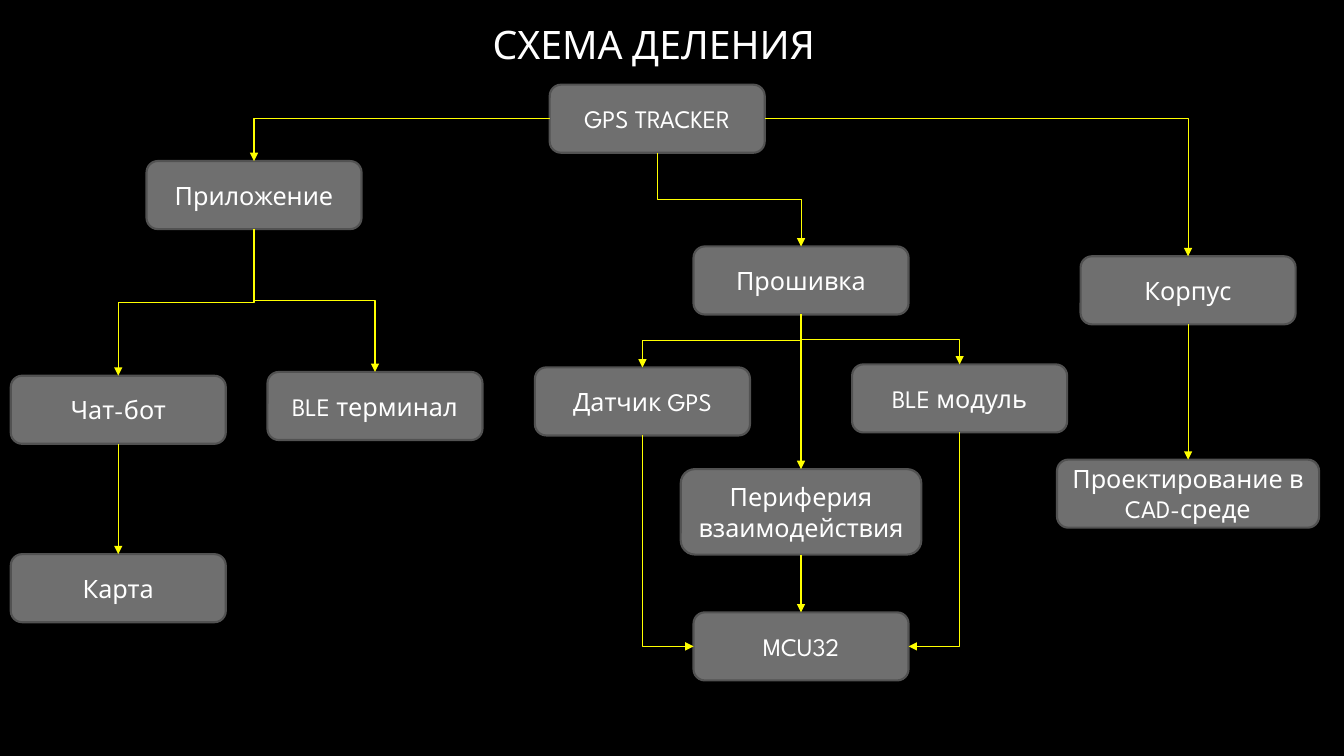
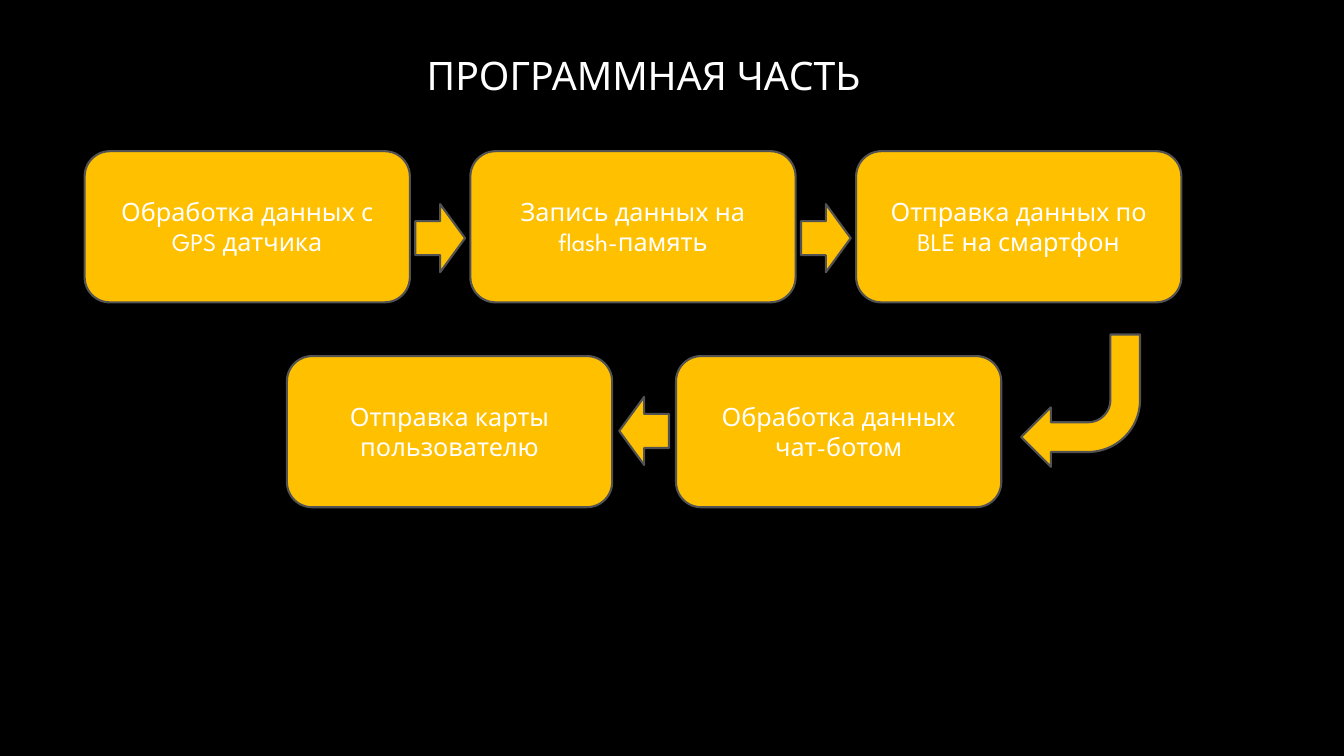
from lxml.etree import SubElement
from pptx import Presentation
from pptx.dml.color import RGBColor
from pptx.enum.shapes import MSO_CONNECTOR, MSO_SHAPE
from pptx.enum.text import MSO_ANCHOR, PP_ALIGN
from pptx.oxml.ns import qn
from pptx.util import Inches, Pt

FONT = "League Spartan"
BLACK, WHITE, SILVER = "000000", "FFFFFF", "A6A6A6"
GREY, OUTLINE, YELLOW, AMBER = "6F6F6F", "525252", "FFFF00", "FFC000"

TITLE_ONLY = 5
TOP, LEFT, BOTTOM, RIGHT = range(4)  # connection sites of a rectangle
NODE = (16, 9)
STEP = (24.2, 20)
ARROW = (3.7, 9)

# name: (text, centre, size), in percent of the slide
NODES = {
    "tracker": ("GPS TRACKER", (48.9, 15.7), NODE),
    "application": ("Приложение", (18.9, 25.8), NODE),
    "firmware": ("Прошивка", (59.6, 37.1), NODE),
    "case": ("Корпус", (88.4, 38.4), NODE),
    "bot": ("Чат-бот", (8.8, 54.2), NODE),
    "terminal": ("BLE терминал", (27.9, 53.7), NODE),
    "sensor": ("Датчик GPS", (47.8, 53.1), NODE),
    "ble": ("BLE модуль", (71.4, 52.7), NODE),
    "peripherals": ("Периферия взаимодействия", (59.6, 67.7), (17.9, 11.3)),
    "map": ("Карта", (8.8, 77.8), NODE),
    "design": ("Проектирование в CAD-среде", (88.4, 65.3), (19.5, 9)),
    "controller": ("MCU32", (59.6, 85.5), NODE),
}
LINKS = [
    ("tracker", LEFT, "application", TOP),
    ("tracker", BOTTOM, "firmware", TOP),
    ("tracker", RIGHT, "case", TOP),
    ("application", BOTTOM, "bot", TOP),
    ("application", BOTTOM, "terminal", TOP),
    ("bot", BOTTOM, "map", TOP),
    ("firmware", BOTTOM, "sensor", TOP),
    ("firmware", BOTTOM, "ble", TOP),
    ("firmware", BOTTOM, "peripherals", TOP),
    ("sensor", BOTTOM, "controller", LEFT),
    ("peripherals", BOTTOM, "controller", TOP),
    ("ble", BOTTOM, "controller", RIGHT),
    ("case", BOTTOM, "design", TOP),
]

# (texts, first centre, distance between centres, row centre, arrow centre)
STEP_ROWS = [
    (["Обработка данных с GPS датчика", "Запись данных на\nflash-память",
      "Отправка данных по BLE на смартфон"], 18.4, 28.7, 30, 31.5),
    (["Обработка данных чат-ботом", "Отправка карты пользователю"],
     62.4, -28.95, 57.1, 57),
]


def color(value):
    return RGBColor.from_string(value)


class Deck:
    """Holds the style and the current slide; lengths are percent of the slide."""

    def __init__(self):
        self.presentation = Presentation()
        self.presentation.slide_width = Inches(13.33)
        self.presentation.slide_height = Inches(7.5)
        background = self.presentation.slide_master.background.fill
        background.solid()
        background.fore_color.rgb = color(BLACK)
        self.slide = None

    def across(self, percent):
        return round(self.presentation.slide_width * percent / 100)

    def down(self, percent):
        return round(self.presentation.slide_height * percent / 100)

    def add_slide(self, text, left, width, height):
        layout = self.presentation.slide_layouts[TITLE_ONLY]
        self.slide = self.presentation.slides.add_slide(layout)
        title = self.slide.shapes.title
        title.left, title.top = self.across(left), 0
        title.width, title.height = self.across(width), self.down(height)
        text_frame = title.text_frame
        text_frame.text = text
        text_frame.vertical_anchor = MSO_ANCHOR.BOTTOM
        paragraph = text_frame.paragraphs[0]
        paragraph.alignment = PP_ALIGN.LEFT
        font = paragraph.runs[0].font
        font.name, font.size = FONT, Pt(28)
        font.fill.gradient()
        font.fill.gradient_angle = 267
        for stop, value in zip(font.fill.gradient_stops, (WHITE, SILVER)):
            stop.color.rgb = color(value)

    def shape(self, kind, center, size, fill, rotation=0):
        (x, y), (width, height) = center, size
        shape = self.slide.shapes.add_shape(
            kind, self.across(x - width / 2), self.down(y - height / 2),
            self.across(width), self.down(height))
        shape.rotation = rotation
        shape.shadow.inherit = False
        shape.fill.solid()
        shape.fill.fore_color.rgb = color(fill)
        shape.line.color.rgb = color(OUTLINE)
        shape.line.width = Pt(1.5)
        return shape

    def box(self, text, center, size, fill):
        shape = self.shape(MSO_SHAPE.ROUNDED_RECTANGLE, center, size, fill)
        text_frame = shape.text_frame
        text_frame.text = text
        text_frame.word_wrap = True
        text_frame.vertical_anchor = MSO_ANCHOR.MIDDLE
        for paragraph in text_frame.paragraphs:
            paragraph.alignment = PP_ALIGN.CENTER
            font = paragraph.runs[0].font
            font.name, font.size = FONT, Pt(18)
            font.color.rgb = color(WHITE)
        return shape

    def link(self, source, source_side, target, target_side):
        """Draw an arrow glued to the given sides of two boxes."""
        connector = self.slide.shapes.add_connector(MSO_CONNECTOR.ELBOW, 0, 0, 0, 0)
        connector.begin_connect(source, source_side)
        connector.end_connect(target, target_side)
        connector.line.color.rgb = color(YELLOW)
        connector.line.width = Pt(0.75)
        properties = connector._element.spPr
        SubElement(connector.line._get_or_add_ln(), qn("a:tailEnd"), type="triangle")
        SubElement(properties, qn("a:effectLst"))

        geometry = properties.find(qn("a:prstGeom"))
        shift = connector.end_x - connector.begin_x
        if abs(shift) < Pt(1):
            geometry.set("prst", "straightConnector1")
            return
        if source_side != BOTTOM or target_side != TOP:
            geometry.set("prst", "bentConnector2")
        if source_side == BOTTOM:
            self.turn(connector, shift > 0)

    def turn(self, connector, to_right):
        """Turn an elbow so that it leaves its start downwards."""
        width, height = connector.width, connector.height
        connector.left += (width - height) // 2
        connector.top += (height - width) // 2
        connector.width, connector.height = height, width
        transform = connector._element.spPr.find(qn("a:xfrm"))
        transform.set("rot", str((270 if to_right else 90) * 60000))
        transform.set("flipH", "1" if to_right else "0")


def build_division_scheme(deck):
    deck.add_slide("СХЕМА ДЕЛЕНИЯ", 35.9, 27.4, 9.6)
    boxes = {name: deck.box(*node, GREY) for name, node in NODES.items()}
    for source, source_side, target, target_side in LINKS:
        deck.link(boxes[source], source_side, boxes[target], target_side)


def build_software_part(deck):
    deck.add_slide("ПРОГРАММНАЯ ЧАСТЬ", 31, 34.8, 13.7)
    for texts, first, pitch, row, arrow_row in STEP_ROWS:
        for index, text in enumerate(texts):
            x = first + index * pitch
            deck.box(text, (x, row), STEP, AMBER)
            if index:
                deck.shape(MSO_SHAPE.RIGHT_ARROW, (x - pitch / 2, arrow_row), ARROW,
                           AMBER, 0 if pitch > 0 else 180)
    deck.shape(MSO_SHAPE.BENT_ARROW, (80.4, 53), (8.85, 17.5), AMBER, 180)


def main():
    deck = Deck()
    build_division_scheme(deck)
    build_software_part(deck)
    deck.presentation.save("out.pptx")


if __name__ == "__main__":
    main()
